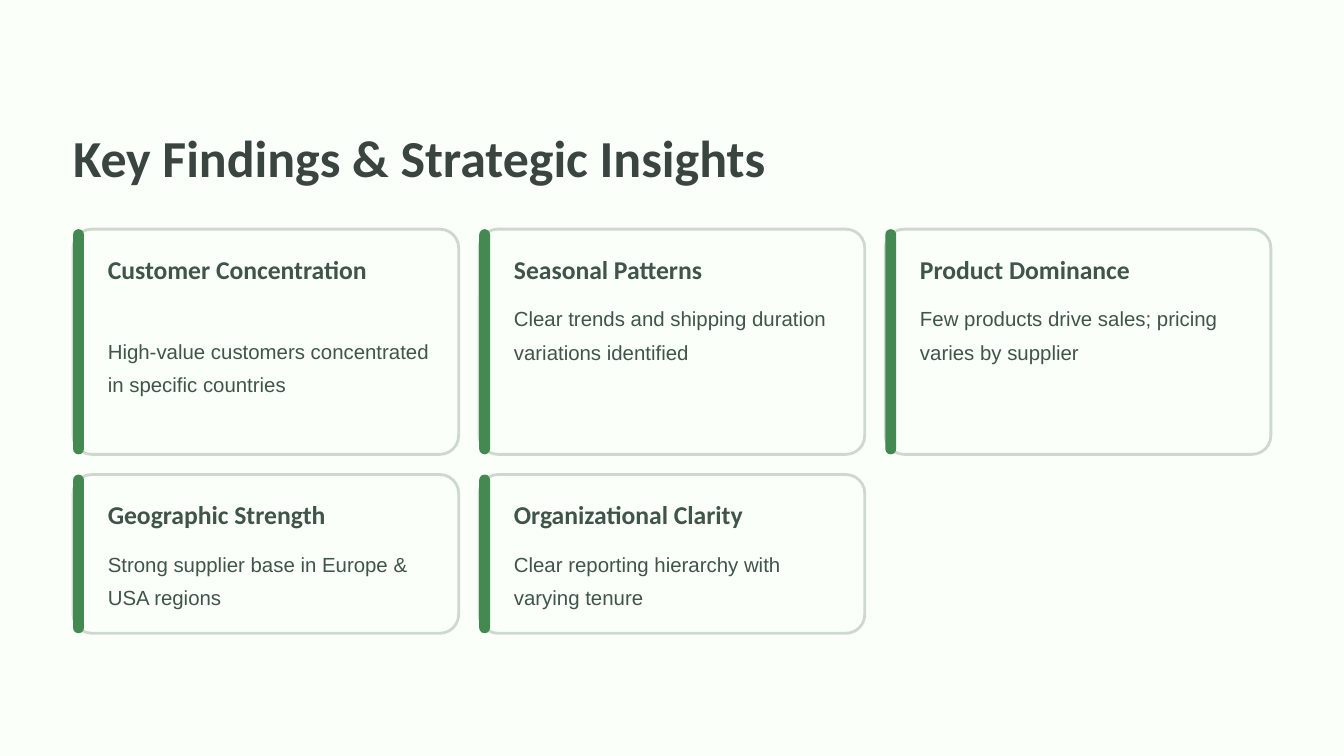
from pptx import Presentation
from pptx.dml.color import RGBColor
from pptx.enum.shapes import MSO_SHAPE
from pptx.enum.text import MSO_ANCHOR, MSO_AUTO_SIZE, PP_ALIGN
from pptx.util import Cm, Pt

ROUNDED = MSO_SHAPE.ROUNDED_RECTANGLE
TOP = MSO_ANCHOR.TOP
LEFT = PP_ALIGN.LEFT
FIXED = MSO_AUTO_SIZE.NONE

COLORS = {
    "background": "FAFFFA",
    "title": "3B4540",
    "text": "405449",
    "border": "CED9CE",
    "accent": "438951",
}
TITLE_ONLY = 5

MARGIN = 2.21
CARD_WIDTH = 11.66
COLUMN_PITCH = 12.28
CORNER_RADIUS = 0.57
BAR_WIDTH = 0.33
TEXT_INDENT = 1.05
TEXT_WIDTH = 9.88
HEADING_OFFSET = 0.71
HEADING_HEIGHT = 0.99
BODY_OFFSET = 2.07
BODY_HEIGHT = 2.01

# Each row: top, card height, cards as (heading, body, extra gap above the body)
ROWS = [
    (6.93, 6.81, [
        ("Customer Concentration",
         "High-value customers concentrated in specific countries", 0.99),
        ("Seasonal Patterns",
         "Clear trends and shipping duration variations identified", 0),
        ("Product Dominance",
         "Few products drive sales; pricing varies by supplier", 0),
    ]),
    (14.35, 4.8, [
        ("Geographic Strength",
         "Strong supplier base in Europe & USA regions", 0),
        ("Organizational Clarity",
         "Clear reporting hierarchy with varying tenure", 0),
    ]),
]


def color(name):
    return RGBColor.from_string(COLORS[name])


class FindingsSlide:
    """Holds the deck, its page and the text styles."""

    # font, size, line spacing, bold, colour
    styles = {
        "title": ("Calibri", 44.5, 55.5, True, "title"),
        "heading": ("Calibri", 22, 27.5, True, "text"),
        "body": ("Arial", 17.5, 28.5, False, "text"),
    }

    def __init__(self):
        self.deck = Presentation()
        self.deck.slide_width = Cm(40.64)
        self.deck.slide_height = Cm(22.86)
        self.page = self.deck.slides.add_slide(self.deck.slide_layouts[TITLE_ONLY])
        fill = self.page.background.fill
        fill.solid()
        fill.fore_color.rgb = color("background")

    def set_text(self, box, text, style):
        name, size, spacing, bold, ink = self.styles[style]
        frame = box.text_frame
        frame.text = text
        frame.word_wrap = True
        frame.auto_size = FIXED
        frame.vertical_anchor = TOP
        frame.margin_left = frame.margin_right = 0
        frame.margin_top = frame.margin_bottom = 0
        para = frame.paragraphs[0]
        para.alignment = LEFT
        para.line_spacing = Pt(spacing)
        para.font.name = name
        para.font.size = Pt(size)
        para.font.bold = bold
        para.font.color.rgb = color(ink)

    def title(self, text):
        box = self.page.shapes.title
        box.left, box.top = Cm(MARGIN), Cm(3.71)
        box.width, box.height = Cm(26.62), Cm(1.98)
        self.set_text(box, text, "title")

    def text(self, left, top, height, text, style):
        box = self.page.shapes.add_textbox(
            Cm(left), Cm(top), Cm(TEXT_WIDTH), Cm(height))
        self.set_text(box, text, style)

    def panel(self, left, top, width, height, fill, border=None):
        """Draw a rounded rectangle with the shared corner radius."""
        shape = self.page.shapes.add_shape(
            ROUNDED, Cm(left), Cm(top), Cm(width), Cm(height))
        shape.adjustments[0] = min(0.5, CORNER_RADIUS / min(width, height))
        shape.shadow.inherit = False
        shape.fill.solid()
        shape.fill.fore_color.rgb = color(fill)
        if border:
            shape.line.color.rgb = color(border)
            shape.line.width = Pt(2.4)
        else:
            shape.line.fill.background()

    def card(self, left, top, height, heading, body, extra_gap):
        self.panel(left, top, CARD_WIDTH, height, "background", "border")
        self.panel(left, top, BAR_WIDTH, height, "accent")
        text_left = left + TEXT_INDENT
        self.text(text_left, top + HEADING_OFFSET, HEADING_HEIGHT, heading, "heading")
        self.text(text_left, top + BODY_OFFSET + extra_gap, BODY_HEIGHT, body, "body")


def main():
    findings = FindingsSlide()
    findings.title("Key Findings & Strategic Insights")
    for top, height, cards in ROWS:
        for column, (heading, body, extra_gap) in enumerate(cards):
            left = MARGIN + column * COLUMN_PITCH
            findings.card(left, top, height, heading, body, extra_gap)
    findings.deck.save("out.pptx")


if __name__ == "__main__":
    main()
